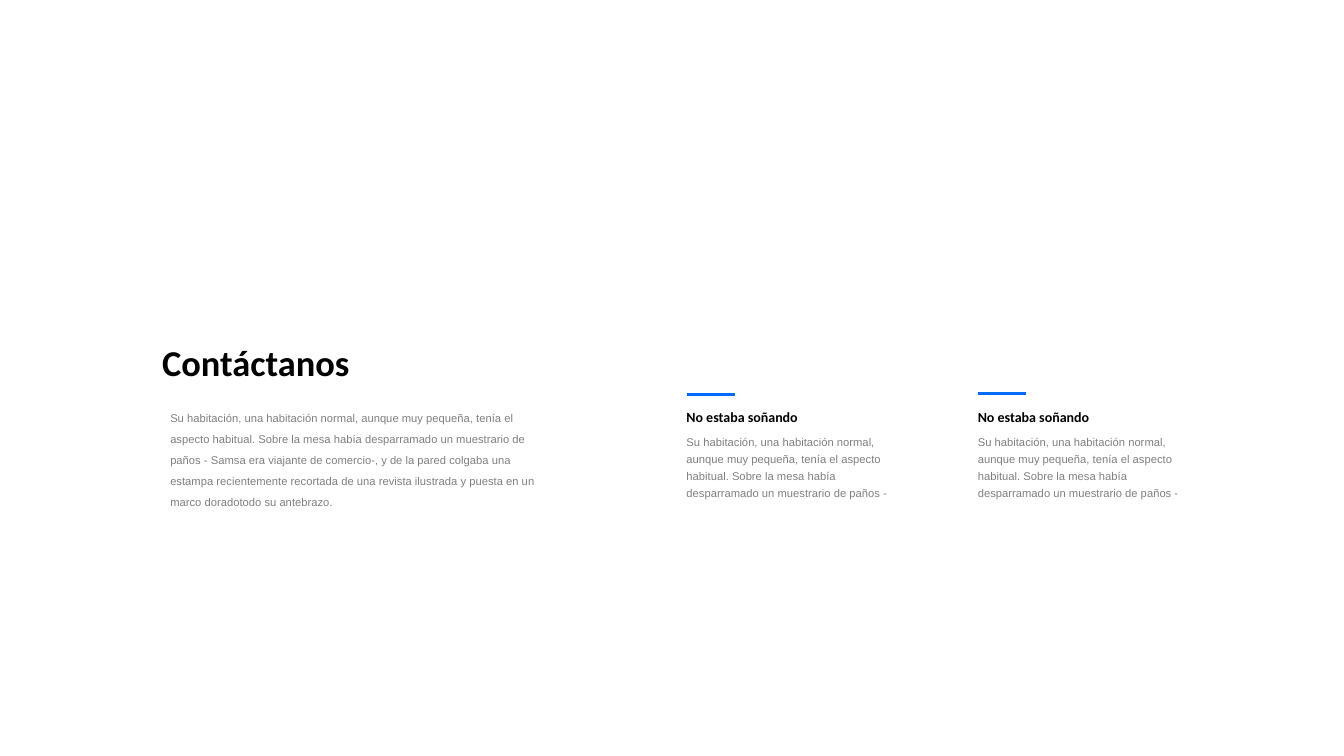
from lxml import etree
from pptx import Presentation
from pptx.dml.color import RGBColor
from pptx.enum.shapes import MSO_CONNECTOR as Line
from pptx.enum.text import MSO_AUTO_SIZE as Fit, PP_ALIGN as Align
from pptx.oxml.ns import qn
from pptx.util import Inches, Pt

BLACK, GRAY, BLUE = "000000", "808080", "006BFF"
TITLE = "Contáctanos"
INTRO = (
    "Su habitación, una habitación normal, aunque muy pequeña, tenía el "
    "aspecto habitual. Sobre la mesa había desparramado un muestrario de "
    "paños - Samsa era viajante de comercio-, y de la pared colgaba una "
    "estampa recientemente recortada de una revista ilustrada y puesta en un "
    "marco doradotodo su antebrazo."
)
HEAD = "No estaba soñando"
BODY = (
    "Su habitación, una habitación normal, aunque muy pequeña, tenía el "
    "aspecto habitual. Sobre la mesa había desparramado un muestrario de "
    "paños -"
)
# left, head width, body width, rule height on the slide
COLUMNS = [(6.71, 1.54, 2.35, 3.91), (9.6, 1.7, 2.26, 3.9)]
HEAD_TOP, BODY_TOP = 3.92, 4.24
INSET, RULE = 0.1, 0.48


def color(code):
    return RGBColor.from_string(code)


def add_text(slide, place, text, size, face, tint, lead, bold=False, align=None):
    box = slide.shapes.add_textbox(*map(Inches, place))
    frame = box.text_frame
    frame.word_wrap = True
    frame.auto_size = Fit.SHAPE_TO_FIT_TEXT
    para = frame.paragraphs[0]
    para.line_spacing = lead
    para.alignment = align
    run = para.add_run()
    run.text = text
    font = run.font
    font.size, font.name, font.bold = Pt(size), face, bold
    font.color.rgb = color(tint)


def add_rule(slide, left, top):
    ends = map(Inches, (left, top, left + RULE, top))
    rule = slide.shapes.add_connector(Line.STRAIGHT, *ends)
    rule.line.color.rgb = color(BLUE)
    rule.line.width = Pt(2.25)
    etree.SubElement(rule._element.spPr, qn("a:effectLst"))


def main():
    deck = Presentation()
    deck.slide_width, deck.slide_height = Inches(13.33), Inches(7.5)
    slide = deck.slides.add_slide(deck.slide_layouts[6])

    add_text(slide, (1.51, 3.34, 4.57, 0.52), TITLE, 26, "Calibri", BLACK,
             Pt(30), bold=True)
    add_text(slide, (1.59, 3.96, 4.02, 1.15), INTRO, 8, "Arial", GRAY, Pt(15))
    for left, head_w, body_w, rule_y in COLUMNS:
        add_text(slide, (left, HEAD_TOP, head_w, 0.35), HEAD, 10, "Calibri",
                 BLACK, 1.5, bold=True, align=Align.JUSTIFY)
        add_text(slide, (left, BODY_TOP, body_w, 0.76), BODY, 8, "Arial",
                 GRAY, Pt(12))
        add_rule(slide, left + INSET, rule_y)

    deck.save("out.pptx")


if __name__ == "__main__":
    main()
